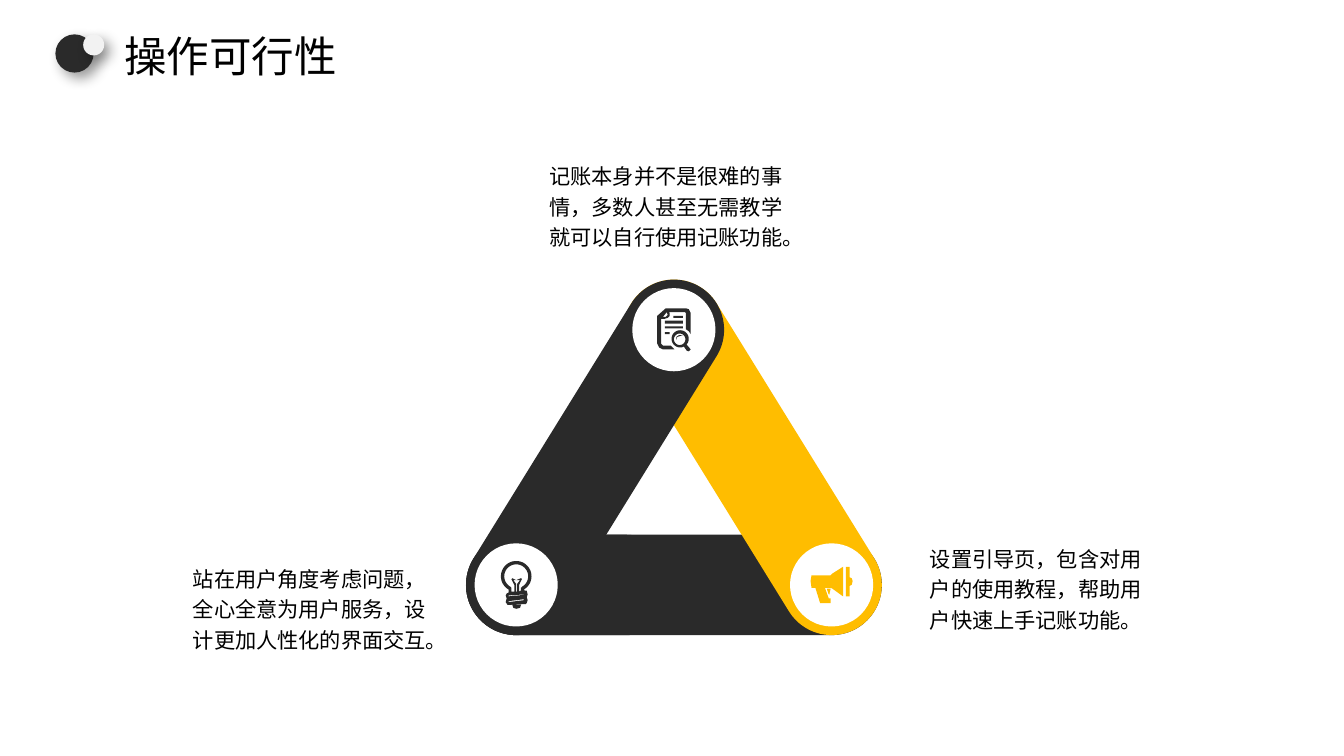
from math import atan2, cos, degrees, hypot, radians, sin

from lxml import etree
from pptx import Presentation
from pptx.dml.color import RGBColor
from pptx.enum.shapes import MSO_SHAPE
from pptx.oxml.ns import qn
from pptx.util import Inches, Pt

OVAL, ROUNDED = MSO_SHAPE.OVAL, MSO_SHAPE.ROUNDED_RECTANGLE
COLORS = {"dark": "2A2A2A", "yellow": "FFBD00", "white": "FFFFFF",
          "pale": "F2F2F2", "text": "000000"}
FONT = "Arial"
BAND, DISC = 1.05, 0.87  # band thickness and disc diameter


def arc(cx, cy, radius, start=0, end=360, steps=40):
    angles = [radians(start + (end - start) * i / steps) for i in range(steps + 1)]
    return [(cx + radius * cos(a), cy + radius * sin(a)) for a in angles]


def rect(x, y, w, h):
    return [(x, y), (x + w, y), (x + w, y + h), (x, y + h)]


# Icons: width, height and outlines, in hundredths of an inch
DOCUMENT = (35, 45, [
    [(10, 0), (30, 0), (33, 1), (35, 5), (35, 27), (33, 24), (30, 22), (30, 5),
     (29, 4), (12, 4), (13, 5), (13, 8), (11, 10), (8, 11), (4, 11), (4, 37),
     (6, 39), (14, 39), (18, 43), (6, 43), (2, 41), (0, 37), (0, 8), (9, 0)],
    [(10, 4), (6, 9), (9, 9), (11, 7)],
    rect(17, 8, 10, 2), rect(8, 13, 19, 3), rect(8, 19, 19, 2), rect(8, 25, 5, 2),
    arc(24, 32, 9), arc(23.5, 32.5, 6),
    [(28, 40.2), (31, 44.5), (33, 45), (35, 43), (31, 38.2)],
    [(20, 33), (21, 30), (27, 28), (23, 28), (20, 30)],
])
BULB = (32, 50, [
    arc(16, 16, 16, 120, 420) + [
        (25, 31), (27, 31), (28, 35), (27, 38), (28, 41), (27, 44), (26, 45),
        (7, 46), (5, 43), (6, 39), (5, 36), (6, 34), (8, 33)],
    arc(16, 16, 12.5, 120, 420) + [
        (21, 28), (21, 31), (19, 32), (19, 25), (22, 19), (21, 18), (16, 20),
        (12, 18), (11, 19), (14, 25), (14, 32), (11, 32), (11, 28)],
    [(13, 20), (20, 20), (17, 24), (17, 32), (16, 32), (16, 24)],
    [(24, 35), (8, 36), (8, 37), (24, 35.5)],
    [(24, 40), (8, 42), (8, 43), (24, 41)],
    [(21, 46), (12, 46), (13, 49), (16, 50), (20, 49)],
])
MEGAPHONE = (44, 38, [
    [(1, 9), (21, 9), (23, 7), (34, 0), (34, 31), (23, 23), (21, 22), (15, 22),
     (19, 33), (21, 33), (21, 38), (10, 38), (5, 22), (1, 22), (0, 15)],
    [(41, 11), (43, 12), (44, 15), (43, 19), (41, 20), (41, 31), (37, 31),
     (37, 0), (41, 0)],
    [(21, 23), (17, 23), (19, 29), (20, 29), (20, 27)],
])


def paint(sp, color):
    sp.shadow.inherit = False
    sp.fill.solid()
    sp.fill.fore_color.rgb = RGBColor.from_string(COLORS[color])
    sp.line.fill.background()


def add_solid(s, preset, x, y, w, h, color):
    sp = s.shapes.add_shape(preset, Inches(x), Inches(y), Inches(w), Inches(h))
    paint(sp, color)
    return sp


def add_band(s, start, end, color):
    """Round-ended band whose end caps are centred on two points."""
    dx, dy = end[0] - start[0], end[1] - start[1]
    length = hypot(dx, dy) + BAND
    cx, cy = (start[0] + end[0]) / 2, (start[1] + end[1]) / 2
    sp = add_solid(s, ROUNDED, cx - length / 2, cy - BAND / 2, length, BAND, color)
    sp.adjustments[0] = 0.5
    sp.rotation = degrees(atan2(dy, dx))


def add_icon(s, center, icon, color):
    w, h, outlines = icon
    left, top = center[0] - w / 200, center[1] - h / 200
    builder = None
    for outline in outlines:
        pts = [(Inches(left + x / 100), Inches(top + y / 100)) for x, y in outline]
        if builder is None:
            builder = s.shapes.build_freeform(*pts[0])
        else:
            builder.move_to(*pts[0])
        builder.add_line_segments(pts[1:], close=True)
    paint(builder.convert_to_shape(), color)


def add_text(s, x, y, w, h, text, size, spacing=None):
    tf = s.shapes.add_textbox(Inches(x), Inches(y), Inches(w), Inches(h)).text_frame
    tf.word_wrap = True
    p = tf.paragraphs[0]
    p.text = text
    p.line_spacing = spacing
    p.font.name, p.font.size = FONT, Pt(size)
    p.font.color.rgb = RGBColor.from_string(COLORS["text"])


def add_shadow(sp):
    effects = sp._element.spPr.find(qn("a:effectLst"))
    shadow = etree.SubElement(effects, qn("a:outerShdw"), blurRad=str(Pt(10)),
                              dist=str(Pt(6)), dir=str(45 * 60000),
                              algn="tl", rotWithShape="0")
    color = etree.SubElement(shadow, qn("a:srgbClr"), val="000000")
    etree.SubElement(color, qn("a:alpha"), val="40000")


def add_header(s, x, y, title):
    for dx, size, color in ((0, 0.4, "dark"), (0.29, 0.22, "pale")):
        add_shadow(add_solid(s, OVAL, x + dx, y, size, size, color))
    add_text(s, x + 0.62, y - 0.09, 3.35, 0.4, title, 32)


def add_triangle(s, x, y, w, h):
    """Three bands joining the nodes; the box is bounded by node centres."""
    top, left, right = (x + w / 2, y), (x, y + h), (x + w, y + h)
    add_band(s, left, right, "dark")
    add_band(s, top, right, "yellow")
    add_band(s, left, top, "dark")
    # Covers the start of the base band at the left corner
    add_band(s, left, (x + w * 0.35, y + h), "dark")

    nodes = ((top, DOCUMENT, "dark"), (left, BULB, "dark"),
             (right, MEGAPHONE, "yellow"))
    for (cx, cy), _, _ in nodes:
        add_solid(s, OVAL, cx - DISC / 2, cy - DISC / 2, DISC, DISC, "white")
    for center, icon, color in nodes:
        add_icon(s, center, icon, color)


def add_captions(s, x, y, w, h):
    """Captions placed around the triangle's box."""
    captions = (
        (x - 1.4 + w * 0.5, y - 1.84, 2.77,
         "记账本身并不是很难的事情，多数人甚至无需教学就可以自行使用记账功能。"),
        (x + w + 0.93, y + h - 0.51, 2.53,
         "设置引导页，包含对用户的使用教程，帮助用户快速上手记账功能。"),
        (x - 3.48, y + h - 0.3, 2.77,
         "站在用户角度考虑问题，全心全意为用户服务，设计更加人性化的界面交互。"),
    )
    for left, top, width, text in captions:
        add_text(s, left, top, width, 1.04, text, 16, 1.2)


def main():
    prs = Presentation()
    prs.slide_width, prs.slide_height = Inches(14.06), Inches(7.91)
    s = prs.slides.add_slide(prs.slide_layouts[6])
    triangle = (5.4, 3.45, 3.3, 2.67)
    add_triangle(s, *triangle)
    add_captions(s, *triangle)
    add_header(s, 0.58, 0.36, "操作可行性")
    prs.save("out.pptx")


if __name__ == "__main__":
    main()
